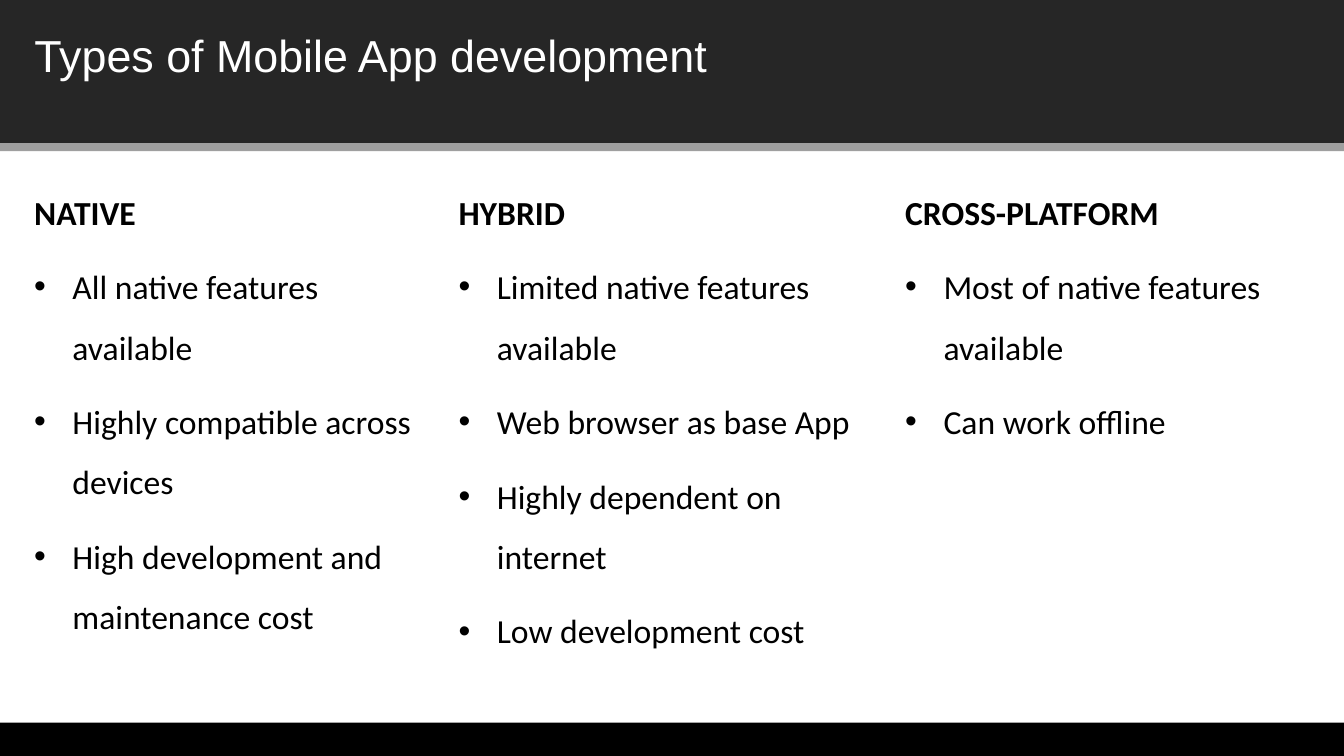
import pptx
import pptx.dml.color
import pptx.enum.shapes
import pptx.enum.text
import pptx.oxml.ns
import pptx.util
from lxml import etree

Inches = pptx.util.Inches
COLORS = {"band": "262626", "rule": "9F9F9F", "black": "000000", "white": "FFFFFF"}


def color(name):
    return pptx.dml.color.RGBColor.from_string(COLORS[name])


def write(p, text, size=24, font="Calibri", fill="black", bold=False):
    r = p.add_run()
    r.text = text
    r.font.size = pptx.util.Pt(size)
    r.font.name = font
    r.font.bold = bold
    r.font.color.rgb = color(fill)


class SlideBuilder:
    indent = Inches(0.38)
    line_spacing = 1.5
    space_before = pptx.util.Pt(10)

    def __init__(self, prs):
        self.s = prs.slides.add_slide(prs.slide_layouts[5])

    def bar(self, left, top, width, height, fill):
        sp = self.s.shapes.add_shape(
            pptx.enum.shapes.MSO_SHAPE.RECTANGLE,
            Inches(left), Inches(top), Inches(width), Inches(height))
        sp.shadow.inherit = False
        sp.fill.solid()
        sp.fill.fore_color.rgb = color(fill)
        sp.line.fill.background()

    def title(self, text, left, top, width, height):
        sp = self.s.shapes.title
        sp.left, sp.top = Inches(left), Inches(top)
        sp.width, sp.height = Inches(width), Inches(height)
        tf = sp.text_frame
        tf.word_wrap = True
        tf.auto_size = pptx.enum.text.MSO_AUTO_SIZE.NONE
        tf.vertical_anchor = pptx.enum.text.MSO_ANCHOR.TOP
        p = tf.paragraphs[0]
        p.alignment = pptx.enum.text.PP_ALIGN.LEFT
        write(p, text, size=32, font="Arial", fill="white")
        # Bring the title in front of the header band
        sp.element.getparent().append(sp.element)

    def bullet(self, p):
        pPr = p._p.get_or_add_pPr()
        pPr.set("marL", str(self.indent))
        pPr.set("indent", str(-self.indent))
        for tag, key, value in (("a:buFont", "typeface", "Arial"),
                                ("a:buChar", "char", "•")):
            etree.SubElement(pPr, pptx.oxml.ns.qn(tag)).set(key, value)

    def column(self, heading, items, left, top, width, height):
        sp = self.s.shapes.add_textbox(
            Inches(left), Inches(top), Inches(width), Inches(height))
        tf = sp.text_frame
        tf.word_wrap = True
        p = tf.paragraphs[0]
        p.line_spacing = self.line_spacing
        write(p, heading, bold=True)
        for item in items:
            p = tf.add_paragraph()
            self.bullet(p)
            p.line_spacing = self.line_spacing
            p.space_before = self.space_before
            write(p, item)


def main():
    prs = pptx.Presentation()
    prs.slide_width, prs.slide_height = Inches(13.33), Inches(7.5)
    slide = SlideBuilder(prs)

    # Comparison columns
    columns = [
        (0.24, 4.21, "NATIVE", ["All native features available",
                                "Highly compatible across devices",
                                "High development and maintenance cost"]),
        (4.45, 4.43, "HYBRID", ["Limited native features available",
                                "Web browser as base App",
                                "Highly dependent on internet",
                                "Low development cost"]),
        (8.88, 4.2, "CROSS-PLATFORM", ["Most of native features available",
                                       "Can work offline"]),
    ]
    for left, width, heading, items in columns:
        slide.column(heading, items, left, 1.65, width, 5.18)

    # Header band, rule and footer
    slide.bar(-0.01, -0.01, 13.34, 1.43, "band")
    slide.bar(-0.01, 1.42, 13.34, 0.08, "rule")
    slide.bar(-0.02, 7.17, 13.35, 0.33, "black")

    # Title
    slide.title("Types of Mobile App development", 0.24, 0.22, 12.84, 0.64)

    prs.save("out.pptx")


if __name__ == "__main__":
    main()
